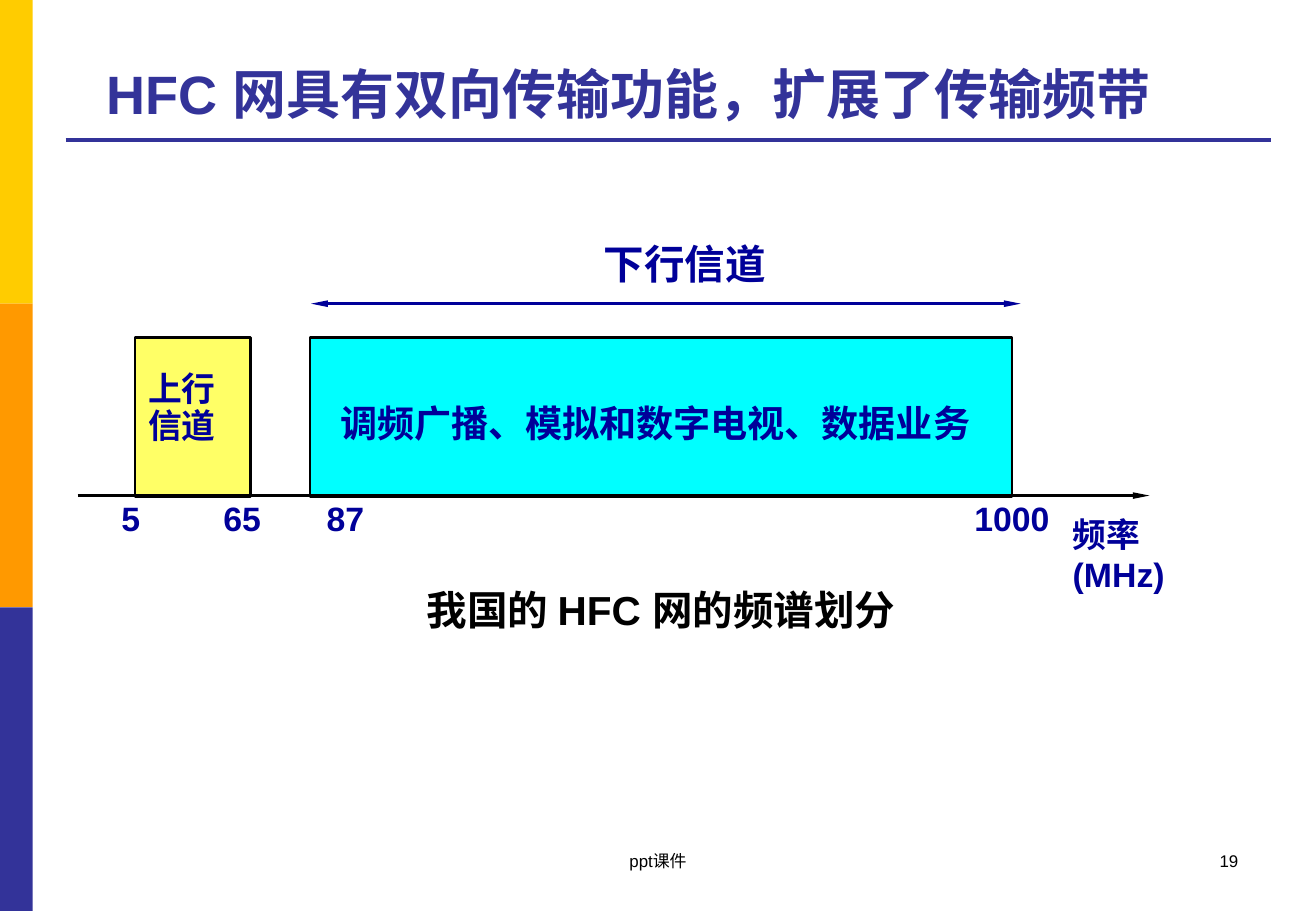
from typing import NamedTuple

from lxml.etree import SubElement
from pptx import Presentation
from pptx.dml.color import RGBColor
from pptx.enum.lang import MSO_LANGUAGE_ID as Lang
from pptx.enum.shapes import MSO_CONNECTOR as Connector, MSO_SHAPE as Preset
from pptx.enum.text import MSO_ANCHOR as Anchor, MSO_AUTO_SIZE as AutoSize, PP_ALIGN as Align
from pptx.oxml.ns import qn
from pptx.util import Emu, Pt

PX = 9144  # 100 px to the inch
COLORS = {
    "yellow": "FFCC00", "orange": "FF9900", "indigo": "333399", "navy": "000099",
    "upstream": "FFFF66", "downstream": "00FFFF", "black": "000000", "white": "FFFFFF",
}


class Box(NamedTuple):
    left: int
    top: int
    width: int
    height: int


class Block(NamedTuple):
    box: Box
    fill: str
    outline: str | None = None


class Rule(NamedTuple):
    left: int
    right: int
    y: int
    color: str
    weight: float = 1.5
    arrows: tuple[str, ...] = ()


class Label(NamedTuple):
    box: Box
    text: str
    style: dict


def px(length: int) -> Emu:
    return Emu(length * PX)


def color(name: str) -> RGBColor:
    return RGBColor.from_string(COLORS[name])


def draw_block(slide, block: Block) -> None:
    shape = slide.shapes.add_shape(Preset.RECTANGLE, *map(px, block.box))
    shape.shadow.inherit = False
    shape.fill.solid()
    shape.fill.fore_color.rgb = color(block.fill)
    if block.outline:
        shape.line.color.rgb = color(block.outline)
        shape.line.width = Pt(1.5)
    else:
        shape.line.fill.background()


def draw_rule(slide, rule: Rule) -> None:
    line = slide.shapes.add_connector(
        Connector.STRAIGHT, px(rule.left), px(rule.y), px(rule.right), px(rule.y))
    line.line.color.rgb = color(rule.color)
    line.line.width = Pt(rule.weight)
    properties = line.line._get_or_add_ln()
    for end in rule.arrows:
        SubElement(properties, qn(f"a:{end}"), type="triangle", w="sm", len="lg")
    SubElement(line._element.spPr, qn("a:effectLst"))


def write(frame, text: str, *, size: int = 20, ink: str = "navy", bold: bool = True,
          align: Align = Align.LEFT, anchor: Anchor = Anchor.TOP, wrap: bool = True,
          spacing: float | None = None, tabs: tuple[int, ...] = ()) -> None:
    frame.auto_size = AutoSize.NONE
    frame.word_wrap = wrap
    frame.vertical_anchor = anchor
    frame.text = text
    for paragraph in frame.paragraphs:
        paragraph.alignment = align
        if spacing:
            paragraph.line_spacing = spacing
        if tabs:
            stops = SubElement(paragraph._p.get_or_add_pPr(), qn("a:tabLst"))
            for stop in tabs:
                SubElement(stops, qn("a:tab"), pos=str(px(stop)), algn="l")
        for run in paragraph.runs:
            run.font.name = "Arial"
            run.font.size = Pt(size)
            run.font.bold = bold
            run.font.color.rgb = color(ink)
            run.font.language_id = Lang.SIMPLIFIED_CHINESE


def draw_label(slide, label: Label) -> None:
    textbox = slide.shapes.add_textbox(*map(px, label.box))
    write(textbox.text_frame, label.text, **label.style)


SIDEBAR = [Block(Box(0, 250 * row, 27, 250), fill)
           for row, fill in enumerate(("yellow", "orange", "indigo"))]
CHANNELS = [
    Block(Box(111, 278, 95, 131), "upstream", "black"),
    Block(Box(255, 278, 578, 131), "downstream", "black"),
]
RULES = [
    Rule(54, 1046, 115, "indigo", weight=2.25),
    Rule(256, 840, 250, "navy", arrows=("headEnd", "tailEnd")),
    Rule(64, 946, 408, "black", arrows=("tailEnd",)),
]
FOOTER = {"size": 10, "ink": "black", "bold": False}
LABELS = [
    Label(Box(487, 192, 156, 50), "下行信道", {"size": 24, "wrap": False}),
    Label(Box(112, 302, 91, 71), "上行\n信道", {"spacing": 0.9}),
    Label(Box(270, 325, 548, 47), "调频广播、模拟和数字电视、数据业务", {"size": 22, "wrap": False}),
    Label(Box(90, 405, 806, 44), "5\t65\t87\t1000", {"tabs": (84, 169, 702)}),
    Label(Box(873, 418, 153, 75), "频率\v(MHz)", {}),
    Label(Box(255, 477, 578, 50), "我国的 HFC 网的频谱划分",
          {"size": 24, "ink": "black", "align": Align.CENTER}),
    Label(Box(370, 695, 343, 50), "ppt课件", {**FOOTER, "align": Align.CENTER}),
    Label(Box(776, 695, 253, 50), "19", {**FOOTER, "align": Align.RIGHT}),
]


def main() -> None:
    deck = Presentation()
    deck.slide_width, deck.slide_height = px(1083), px(750)
    slide = deck.slides.add_slide(deck.slide_layouts[5])
    slide.background.fill.solid()
    slide.background.fill.fore_color.rgb = color("white")

    # Title
    title = slide.shapes.title
    title.left, title.top, title.width, title.height = map(px, Box(22, 21, 991, 87))
    write(title.text_frame, "HFC 网具有双向传输功能，扩展了传输频带",
          size=32, ink="indigo", align=Align.CENTER, anchor=Anchor.BOTTOM)

    # Sidebar and frequency bands
    for block in SIDEBAR + CHANNELS:
        draw_block(slide, block)

    # Title rule, downstream span and frequency axis
    for rule in RULES:
        draw_rule(slide, rule)

    # Captions, frequencies and footer
    for label in LABELS:
        draw_label(slide, label)

    deck.save("out.pptx")


if __name__ == "__main__":
    main()
